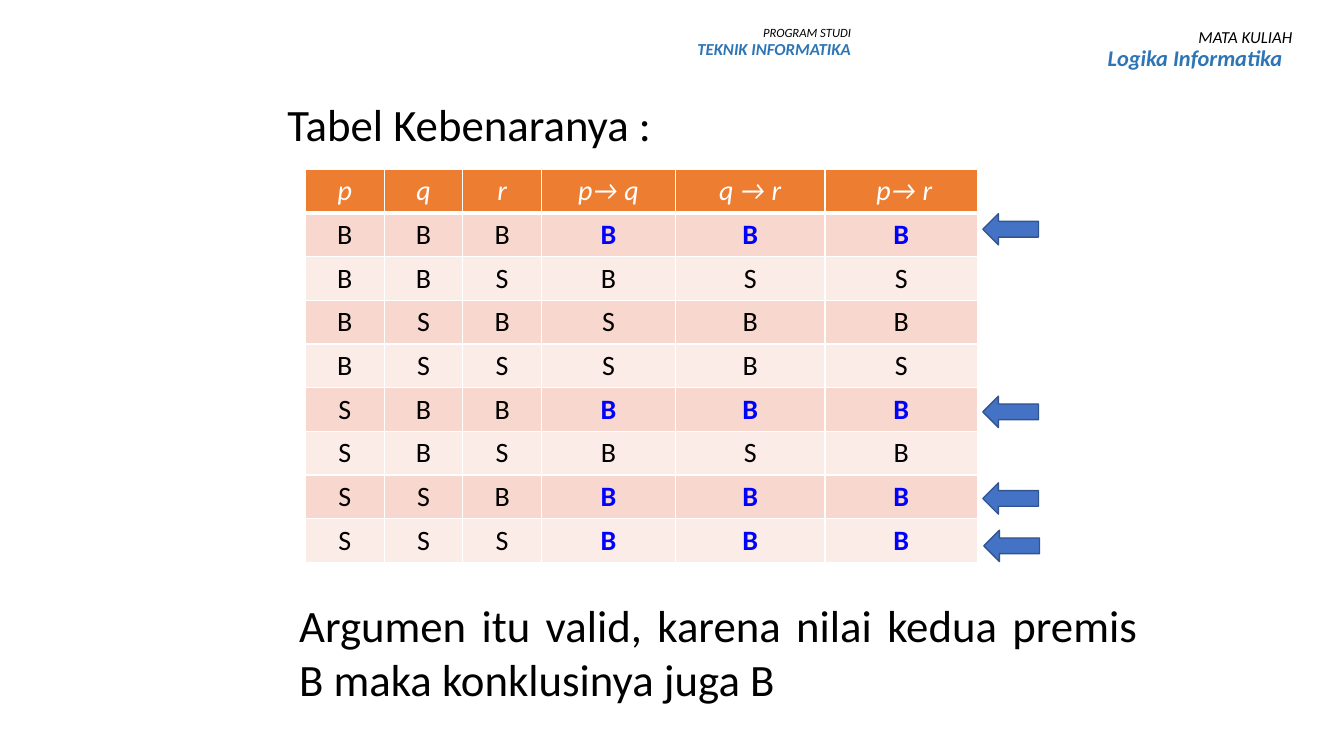
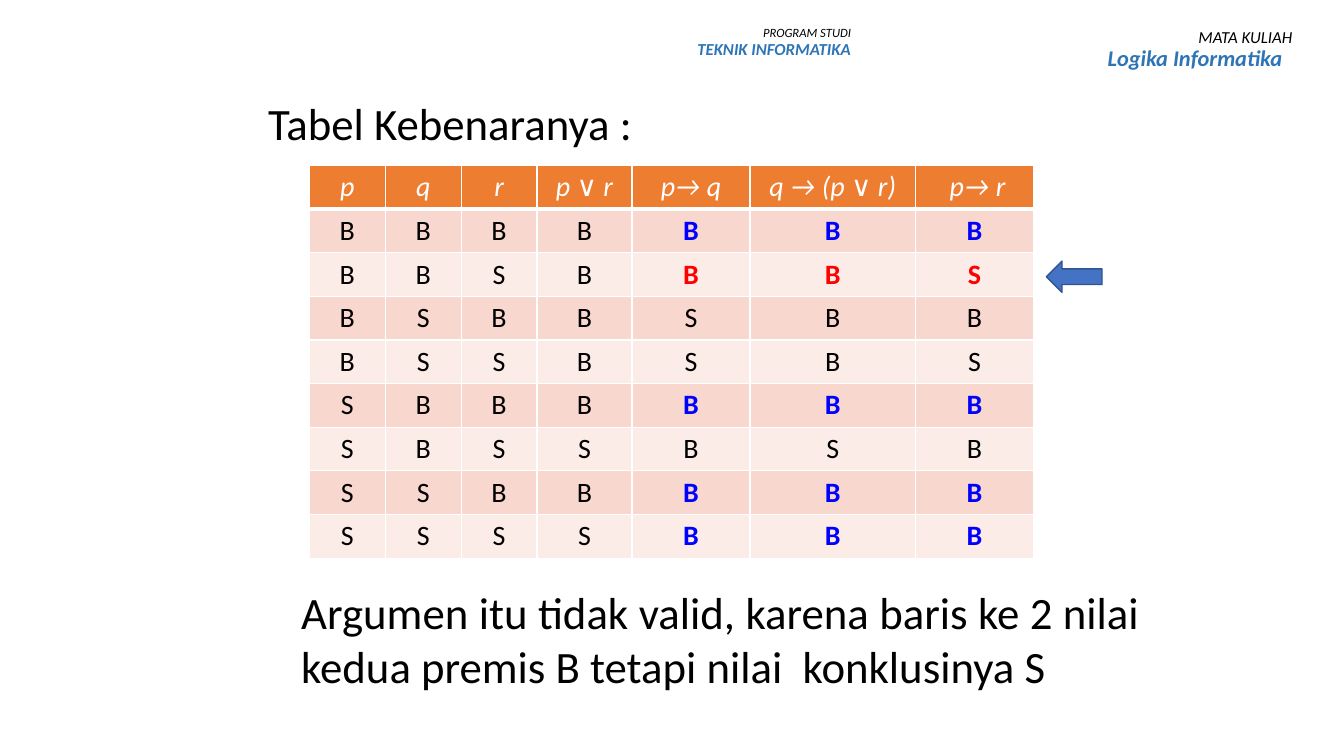
from dataclasses import dataclass
from itertools import product
from typing import Callable

from lxml import etree
from pptx import Presentation
from pptx.dml.color import RGBColor
from pptx.enum.shapes import MSO_SHAPE
from pptx.enum.text import MSO_ANCHOR, MSO_AUTO_SIZE, PP_ALIGN
from pptx.oxml.ns import qn
from pptx.util import Pt

BLACK = RGBColor(0x00, 0x00, 0x00)
WHITE = RGBColor(0xFF, 0xFF, 0xFF)
ORANGE = RGBColor(0xED, 0x7D, 0x31)
ROSE = RGBColor(0xF8, 0xD7, 0xCE)
PALE = RGBColor(0xFC, 0xEC, 0xE8)
BLUE = RGBColor(0x00, 0x00, 0xFF)
RED = RGBColor(0xFF, 0x00, 0x00)
STEEL = RGBColor(0x2E, 0x75, 0xB6)
ARROW = RGBColor(0x44, 0x72, 0xC4)
RIM = RGBColor(0x32, 0x54, 0x91)

FONT = "Calibri"
LEFT, RIGHT, CENTER, JUSTIFY = PP_ALIGN.LEFT, PP_ALIGN.RIGHT, PP_ALIGN.CENTER, PP_ALIGN.JUSTIFY
TOP, MIDDLE = MSO_ANCHOR.TOP, MSO_ANCHOR.MIDDLE
GROW = MSO_AUTO_SIZE.SHAPE_TO_FIT_TEXT
LEFT_ARROW = MSO_SHAPE.LEFT_ARROW
TITLE_ONLY = 5
ROW_HIGH = 31.2
TEXT_WIDE = 613.4


@dataclass(frozen=True)
class Column:
    """A table column with the rule that fills it."""
    head: str
    width: float
    rule: Callable[[bool, bool, bool], bool]


@dataclass(frozen=True)
class Label:
    """A two-line label in the page header; an indent sets the second line from the left."""
    box: tuple[float, float, float, float]
    lines: tuple[str, str]
    sizes: tuple[int, int]
    indent: float = 0


@dataclass(frozen=True)
class Page:
    """One slide with a truth table; the last three columns are premises and conclusion."""
    title: tuple[float, float]
    table: tuple[float, float]
    columns: tuple[Column, ...]
    note: tuple[float, float]
    text: str
    arrows: tuple[tuple[float, float], ...]


LABELS = (
    Label((434.2, 15.8, 180.7, 40.3), ("PROGRAM STUDI", "TEKNIK INFORMATIKA"), (9, 12)),
    Label((659.5, 17.3, 270.7, 53.3), ("MATA KULIAH", "Logika Informatika"), (12, 16), 124.6),
)


def basics(width: float) -> tuple[Column, ...]:
    """Return the columns of the three variables."""
    return (Column("p", width, lambda p, q, r: p),
            Column("q", width, lambda p, q, r: q),
            Column("r", width, lambda p, q, r: r))


def implies(name: str, width: float) -> Column:
    """Return the column of p implying the named variable."""
    return Column(name, width, lambda p, q, r: not p or (q if name.endswith("q") else r))


PAGES = (
    Page((198, 65.5), (218.2, 121),
         (*basics(56.2), implies("p→ q", 95.8),
          Column("q → r", 106.8, lambda p, q, r: not q or r),
          implies(" p→ r", 108.8)),
         (206.6, 423.4),
         "Argumen itu valid, karena nilai kedua premis B maka konklusinya juga B",
         ((702, 152.6), (702, 283), (702, 344.9), (702.7, 378.7))),
    Page((184.3, 64.8), (221, 118.1),
         (*basics(54.2), Column("p ∨ r", 67.9, lambda p, q, r: p or r),
          implies("p→ q", 84.3),
          Column("q → (p ∨ r)", 118.2, lambda p, q, r: not q or p or r),
          implies(" p→ r", 84.3)),
         (208.1, 414),
         "Argumen itu tidak valid, karena baris ke 2 nilai kedua premis B "
         "tetapi nilai  konklusinya S",
         ((747.4, 186.5),)),
)


def style(para, size: float, color: RGBColor, align: PP_ALIGN,
          bold: bool = False, italic: bool = False) -> None:
    """Format a paragraph and its runs."""
    para.alignment = align
    for run in para.runs:
        font = run.font
        font.name, font.size = FONT, Pt(size)
        font.bold, font.italic = bold, italic
        font.color.rgb = color


def write(shape, text: str) -> None:
    """Fill a shape with large justified text."""
    frame = shape.text_frame
    frame.text = text
    frame.word_wrap = True
    frame.auto_size = GROW
    frame.vertical_anchor = TOP
    style(frame.paragraphs[0], 32, BLACK, JUSTIFY)


def add_label(slide, label: Label) -> None:
    """Add a header label."""
    frame = slide.shapes.add_textbox(*map(Pt, label.box)).text_frame
    frame.word_wrap = True
    frame.text = "\n".join(label.lines)
    first, second = frame.paragraphs
    style(first, label.sizes[0], BLACK, RIGHT, italic=True)
    style(second, label.sizes[1], STEEL, LEFT if label.indent else RIGHT, True, True)
    if label.indent:
        second._p.get_or_add_pPr().set("marL", str(Pt(label.indent)))
    for para in frame.paragraphs:
        para.line_spacing = 0.9


def add_edges(cell, base: float) -> None:
    """Draw white borders round a cell."""
    props = cell._tc.get_or_add_tcPr()
    for side, width in (("L", 1), ("R", 1), ("T", 1), ("B", base)):
        line = etree.SubElement(props, qn(f"a:ln{side}"), w=str(Pt(width)))
        fill = etree.SubElement(line, qn("a:solidFill"))
        etree.SubElement(fill, qn("a:srgbClr"), val=str(WHITE))


def fill_cell(cell, text: str, fill: RGBColor, color: RGBColor,
              bold: bool = False, head: bool = False) -> None:
    """Write and format one table cell."""
    cell.text = text
    cell.margin_top = cell.margin_bottom = Pt(3)
    cell.vertical_anchor = MIDDLE
    add_edges(cell, 3 if head else 1)
    cell.fill.solid()
    cell.fill.fore_color.rgb = fill
    style(cell.text_frame.paragraphs[0], 20, color, CENTER, bold, head)


def add_truth(slide, page: Page) -> None:
    """Add the truth table, marking rows whose premises both hold."""
    cases = list(product((True, False), repeat=3))
    count = len(cases) + 1
    width = sum(col.width for col in page.columns)
    table = slide.shapes.add_table(count, len(page.columns), *map(Pt, page.table),
                                   Pt(width), Pt(ROW_HIGH * count)).table
    for row in table.rows:
        row.height = Pt(ROW_HIGH)
    for x, col in enumerate(page.columns):
        table.columns[x].width = Pt(col.width)
        fill_cell(table.cell(0, x), col.head, ORANGE, WHITE, head=True)
    for y, case in enumerate(cases, 1):
        values = [col.rule(*case) for col in page.columns]
        holds = values[-3] and values[-2]
        for x, value in enumerate(values):
            bold = holds and x >= len(values) - 3
            color = (BLUE if values[-1] else RED) if bold else BLACK
            fill_cell(table.cell(y, x), "B" if value else "S",
                      ROSE if y % 2 else PALE, color, bold)


def add_arrow(slide, left: float, top: float) -> None:
    """Add an arrow pointing at a table row."""
    arrow = slide.shapes.add_shape(LEFT_ARROW, Pt(left), Pt(top), Pt(39.8), Pt(22.4))
    arrow.shadow.inherit = False
    arrow.fill.solid()
    arrow.fill.fore_color.rgb = ARROW
    arrow.line.color.rgb = RIM
    arrow.line.width = Pt(1)


def add_page(deck, page: Page) -> None:
    """Add one slide."""
    slide = deck.slides.add_slide(deck.slide_layouts[TITLE_ONLY])
    title = slide.shapes.title
    title.left, title.top = map(Pt, page.title)
    title.width, title.height = Pt(TEXT_WIDE), Pt(46)
    write(title, "Tabel Kebenaranya :")
    add_truth(slide, page)
    note = slide.shapes.add_textbox(*map(Pt, page.note), Pt(TEXT_WIDE), Pt(85))
    write(note, page.text)
    for spot in page.arrows:
        add_arrow(slide, *spot)
    for label in LABELS:
        add_label(slide, label)


def main() -> None:
    """Build and save the deck."""
    deck = Presentation()
    deck.slide_width, deck.slide_height = Pt(960), Pt(540)
    for page in PAGES:
        add_page(deck, page)
    deck.save("out.pptx")


if __name__ == "__main__":
    main()
